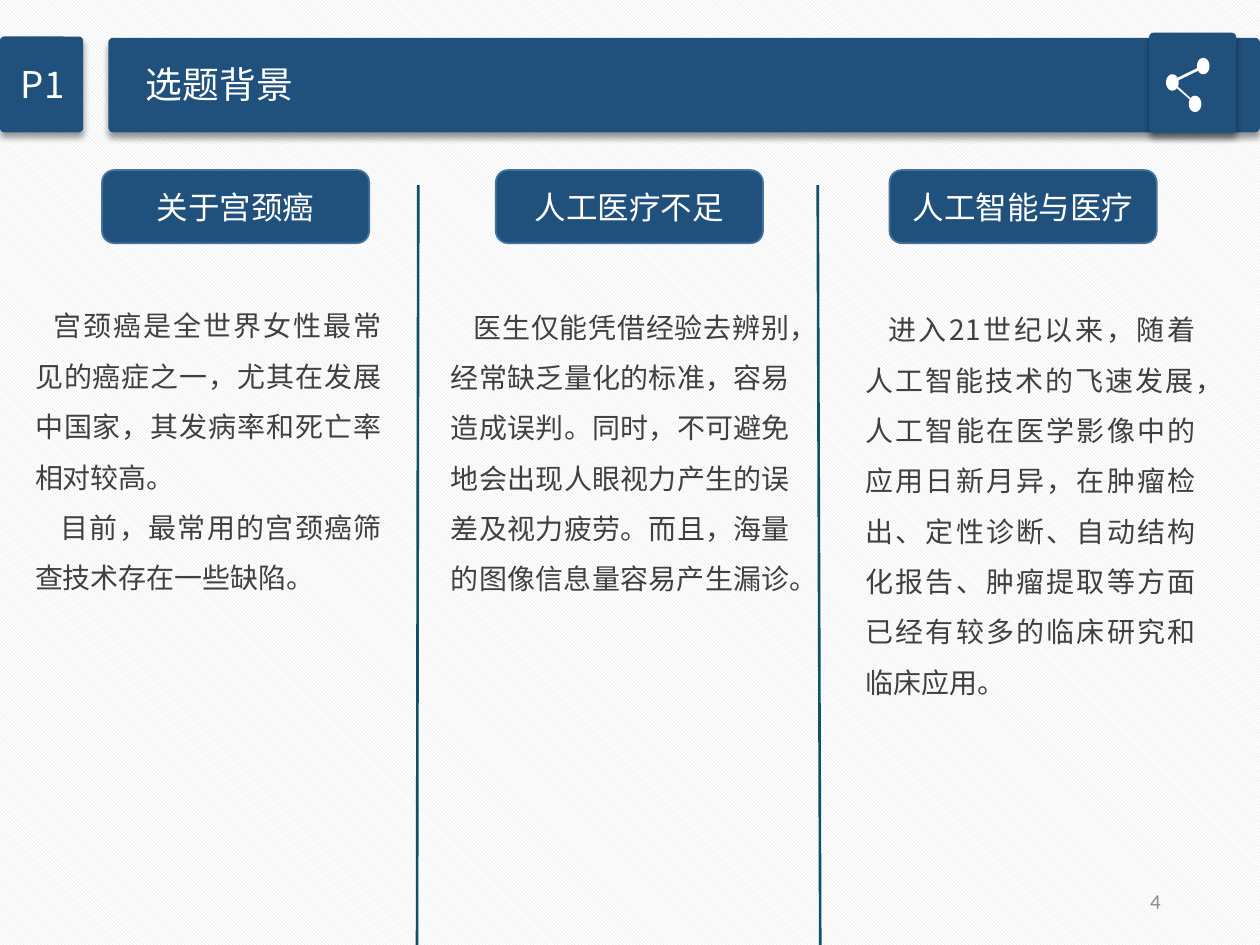
from math import cos, radians, sin

from lxml.etree import SubElement
from pptx import Presentation
from pptx.dml.color import RGBColor
from pptx.enum.dml import MSO_PATTERN
from pptx.enum.shapes import MSO_CONNECTOR, MSO_SHAPE
from pptx.enum.text import MSO_ANCHOR, PP_ALIGN
from pptx.oxml.ns import qn
from pptx.util import Inches, Pt

COLORS = {
    "navy": "20517C", "edge": "43739E", "divider": "0D5267", "white": "FFFFFF",
    "body": "404040", "number": "8C8C8C", "hatch": "D9D9D9", "shadow": "000000",
}
CJK = "Noto Sans CJK SC"
LABEL = {"size": Pt(21), "name": CJK}
HEADING = {"size": Pt(18), "name": CJK}
BODY = {"size": Pt(16), "name": CJK}
NUMBER = {"size": Pt(12), "name": "Calibri"}

COLUMNS = [
    ("关于宫颈癌", (0.18, 2.27, 2.95, 4.02), [
        (0.15, "宫颈癌是全世界女性最常见的癌症之一，尤其在发展中国家，其发病率和死亡率相对较高。"),
        (0.2, "目前，最常用的宫颈癌筛查技术存在一些缺陷。"),
    ]),
    ("人工医疗不足", (3.48, 2.28, 2.89, 4.52), [
        (0.18, "医生仅能凭借经验去辨别，经常缺乏量化的标准，容易造成误判。同时，不可避免地会"
               "出现人眼视力产生的误差及视力疲劳。而且，海量的图像信息量容易产生漏诊。"),
    ]),
    ("人工智能与医疗", (6.77, 2.3, 2.82, 3.31), [
        (0.18, "进入21世纪以来，随着人工智能技术的飞速发展，人工智能在医学影像中的应用日新月异，"
               "在肿瘤检出、定性诊断、自动结构化报告、肿瘤提取等方面已经有较多的临床研究和临床应用。"),
    ]),
]
HEADING_LEFT, HEADING_STEP = 0.81, 3.125
DIVIDERS = [(3.32, 3.31), (6.49, 6.51)]
PANELS = [(0, 0.29, 0.66, 0.76), (0.86, 0.3, 9.14, 0.75), (9.12, 0.26, 0.69, 0.8)]
ICON_ARCS = [
    (9.55, 0.525, 145, -195),
    (9.305, 0.655, -35, -315),
    (9.485, 0.825, 213, -135),
    (9.305, 0.655, 30, -15),
]


def color(name):
    return RGBColor.from_string(COLORS[name])


def inches(values):
    return [Inches(value) for value in values]


def apply(target, values):
    for key, value in values.items():
        setattr(target, key, value)


def write(frame, paragraphs, font, ink, layout, anchor=MSO_ANCHOR.MIDDLE):
    apply(frame, {"word_wrap": True, "vertical_anchor": anchor})
    for index, (indent, text) in enumerate(paragraphs):
        para = frame.add_paragraph() if index else frame.paragraphs[0]
        apply(para, layout)
        if indent:
            para._p.get_or_add_pPr().set("indent", str(Inches(indent)))
        span = para.add_run()
        span.text = text
        apply(span.font, font)
        span.font.color.rgb = color(ink)
        SubElement(span.font._element, qn("a:ea"), typeface=font["name"])


def add_text(page, bounds, paragraphs, font, ink, layout, anchor=MSO_ANCHOR.MIDDLE):
    box = page.shapes.add_textbox(*inches(bounds))
    write(box.text_frame, paragraphs, font, ink, layout, anchor)


def add_rounded(page, bounds, edge=None):
    box = page.shapes.add_shape(MSO_SHAPE.ROUNDED_RECTANGLE, *inches(bounds))
    box.shadow.inherit = False
    box.fill.solid()
    box.fill.fore_color.rgb = color("navy")
    if edge:
        box.line.color.rgb = color(edge)
        box.line.width = Pt(1)
    else:
        box.line.fill.background()
    return box


def add_panel(page, bounds):
    panel = add_rounded(page, bounds)
    panel.adjustments[0] = 0.05
    effects = panel._element.spPr.find(qn("a:effectLst"))
    shadow = SubElement(effects, qn("a:outerShdw"), blurRad=str(Pt(4)), dist=str(Pt(3)),
                        dir="5400000", algn="ctr", rotWithShape="0")
    tint = SubElement(shadow, qn("a:srgbClr"), val=COLORS["shadow"])
    SubElement(tint, qn("a:alpha"), val="40000")


def arc(center_x, center_y, start, end, steps=24):
    angles = [radians(start + (end - start) * i / steps) for i in range(steps + 1)]
    return [(center_x + 0.05 * cos(a), center_y + 0.065 * sin(a)) for a in angles]


def add_share_icon(page):
    points = [inches(point) for values in ICON_ARCS for point in arc(*values)]
    builder = page.shapes.build_freeform(*points[0])
    builder.add_line_segments(points[1:], close=True)
    icon = builder.convert_to_shape()
    icon.shadow.inherit = False
    icon.fill.solid()
    icon.fill.fore_color.rgb = color("white")
    icon.line.fill.background()


def add_divider(page, top_x, bottom_x):
    ends = inches((top_x, 1.47, bottom_x, 7.5))
    line = page.shapes.add_connector(MSO_CONNECTOR.STRAIGHT, *ends)
    line.line.color.rgb = color("divider")
    line.line.width = Pt(1.5)
    SubElement(line._element.spPr, qn("a:effectLst"))


def add_heading(page, index, title):
    left = HEADING_LEFT + index * HEADING_STEP
    button = add_rounded(page, (left, 1.35, 2.12, 0.58), "edge")
    write(button.text_frame, [(0, title)], HEADING, "white", {"alignment": PP_ALIGN.CENTER})


def set_background(page):
    fill = page.background.fill
    fill.patterned()
    fill.pattern = MSO_PATTERN.DARK_DOWNWARD_DIAGONAL
    fill.fore_color.rgb = color("hatch")
    fill.back_color.rgb = color("white")


def main():
    deck = Presentation()
    apply(deck, {"slide_width": Inches(10), "slide_height": Inches(7.5)})
    page = deck.slides.add_slide(deck.slide_layouts[6])
    set_background(page)
    for bounds in PANELS:
        add_panel(page, bounds)
    add_share_icon(page)
    add_text(page, (0.02, 0.34, 0.64, 0.69), [(0, "P1")], LABEL, "white",
             {"alignment": PP_ALIGN.CENTER, "line_spacing": 0.9})
    add_text(page, (1.06, 0.34, 8.82, 0.69), [(0, "选题背景")], LABEL, "white",
             {"line_spacing": 0.9})
    add_text(page, (7.06, 6.95, 2.25, 0.4), [(0, "4")], NUMBER, "number",
             {"alignment": PP_ALIGN.RIGHT})
    for index, (title, bounds, paragraphs) in enumerate(COLUMNS):
        add_heading(page, index, title)
        add_text(page, bounds, paragraphs, BODY, "body",
                 {"alignment": PP_ALIGN.JUSTIFY, "line_spacing": 1.5}, MSO_ANCHOR.TOP)
    for top_x, bottom_x in DIVIDERS:
        add_divider(page, top_x, bottom_x)
    deck.save("out.pptx")


if __name__ == "__main__":
    main()
